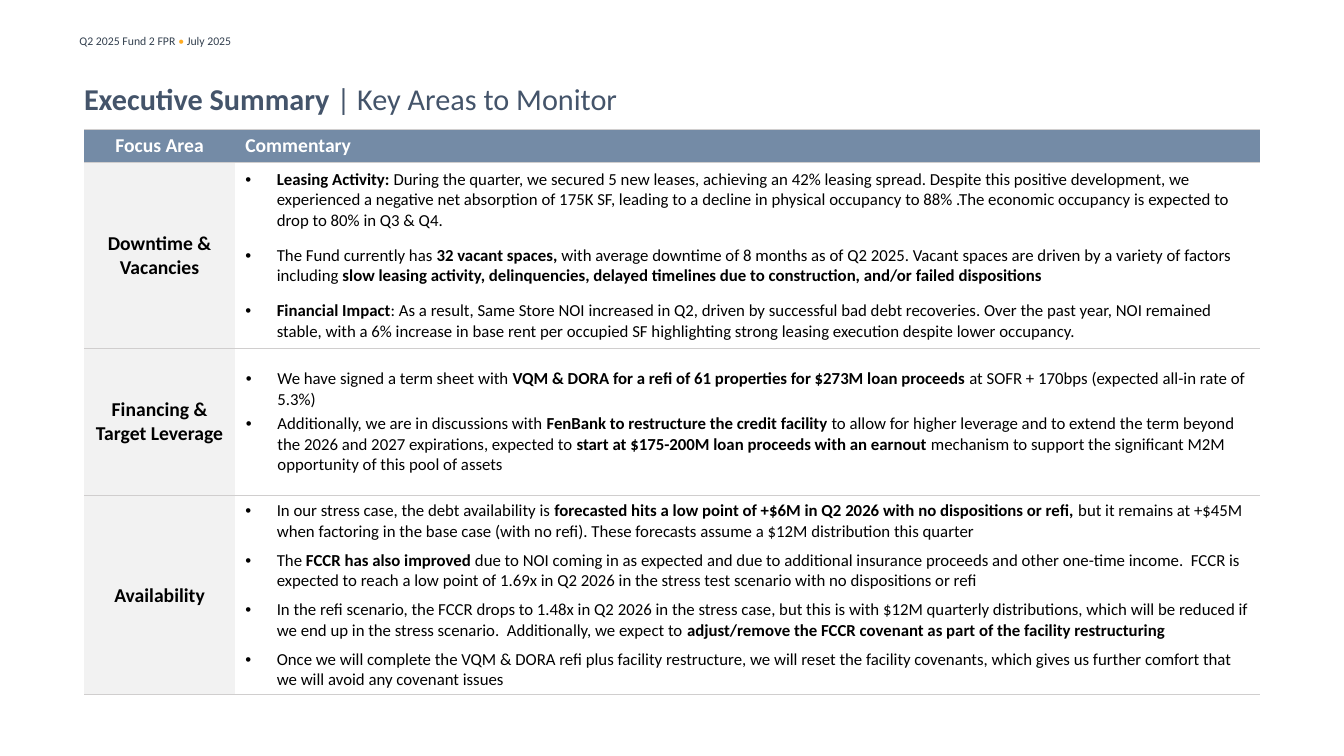
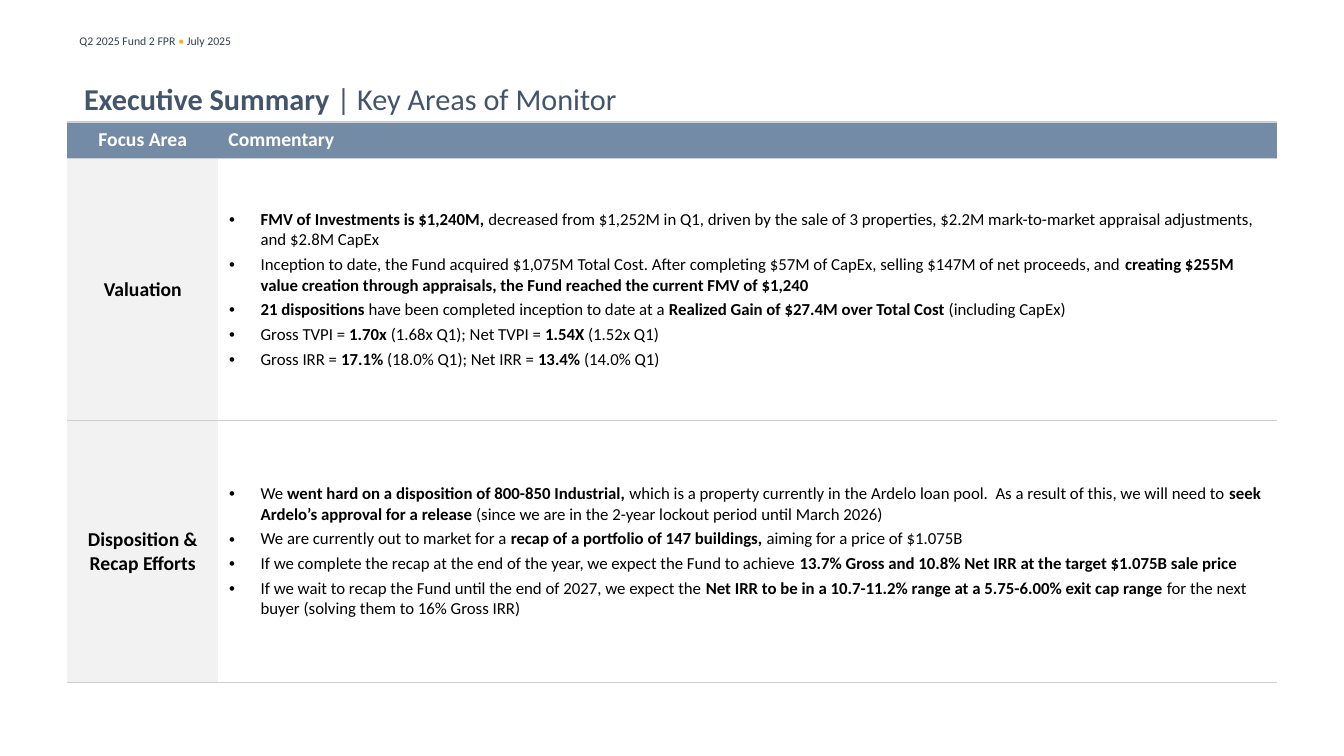
"""Build the two executive summary slides of the quarterly fund review."""
from dataclasses import dataclass
from typing import Any

from lxml import etree
from pptx import Presentation
from pptx.dml.color import RGBColor
from pptx.enum.text import MSO_ANCHOR, PP_ALIGN
from pptx.oxml.ns import qn
from pptx.util import Pt

MIDDLE = MSO_ANCHOR.MIDDLE
TOP = MSO_ANCHOR.TOP
LEFT = PP_ALIGN.LEFT
CENTER = PP_ALIGN.CENTER

FONT = "Calibri"
BLACK, WHITE = "000000", "FFFFFF"
TITLE_COLOR, HEADER_FILL = "44546A", "748BA6"
FOCUS_FILL, RULE_COLOR = "F2F2F2", "D0CECE"
RUNNING_COLOR, ACCENT = "33404F", "FFAB21"
FOCUS_WIDTH = 108
BULLET_INDENT = 22.5


@dataclass(frozen=True)
class Run:
    text: str
    size: float
    color: str = BLACK
    bold: bool = False


@dataclass(frozen=True)
class FocusArea:
    name: str
    height: float
    bullets: tuple[str, ...]
    before: float = 3
    after: float = 0
    margin: float = 23


@dataclass(frozen=True)
class SummarySlide:
    subtitle: str
    left: float
    top: float
    width: float
    header_height: float
    areas: tuple[FocusArea, ...]


SLIDES = (
    SummarySlide("Key Areas to Monitor", 60, 92.2, 840, 24, (
        FocusArea("Downtime & Vacancies", 132.5, (
            "**Leasing Activity: **During the quarter, we secured 5 new leases, achieving an 42% "
            "leasing spread. Despite this positive development, we experienced a negative net "
            "absorption of 175K SF, leading to a decline in physical occupancy to 88% .The economic "
            "occupancy is expected to drop to 80% in Q3 & Q4.",
            "The Fund currently has **32 vacant spaces, **with average downtime of 8 months as of "
            "Q2 2025. Vacant spaces are driven by a variety of factors including **slow leasing "
            "activity, delinquencies, delayed timelines due to construction, and/or failed "
            "dispositions**",
            "**Financial Impact**: As a result, Same Store NOI increased in Q2, driven by successful "
            "bad debt recoveries. Over the past year, NOI remained stable, with a 6% increase in "
            "base rent per occupied SF highlighting strong leasing execution despite lower "
            "occupancy.",
        ), after=7.5, margin=22.5),
        FocusArea("Financing & Target Leverage", 105.5, (
            "We have signed a term sheet with **VQM & DORA for a refi of 61 properties for $273M "
            "loan proceeds **at SOFR + 170bps (expected all-in rate of 5.3%)",
            "Additionally, we are in discussions with **FenBank to restructure the credit facility "
            "**to allow for higher leverage and to extend the term beyond the 2026 and 2027 "
            "expirations, expected to **start at $175-200M loan proceeds with an earnout "
            "**mechanism to support the significant M2M opportunity of this pool of assets",
        )),
        FocusArea("Availability", 142, (
            "In our stress case, the debt availability is **forecasted hits a low point of +$6M in "
            "Q2 2026 with no dispositions or refi, **but it remains at +$45M when factoring in the "
            "base case (with no refi). These forecasts assume a $12M distribution this quarter",
            "The **FCCR has also improved** due to NOI coming in as expected and due to additional "
            "insurance proceeds and other one-time income.  FCCR is expected to reach a low point "
            "of 1.69x in Q2 2026 in the stress test scenario with no dispositions or refi",
            "In the refi scenario, the FCCR drops to 1.48x in Q2 2026 in the stress case, but this "
            "is with $12M quarterly distributions, which will be reduced if we end up in the "
            "stress scenario.  Additionally, we expect to **adjust/remove the FCCR covenant as "
            "part of the facility restructuring**",
            "Once we will complete the VQM & DORA refi plus facility restructure, we will reset the "
            "facility covenants, which gives us further comfort that we will avoid any covenant "
            "issues",
        ), before=6, margin=22.5),
    )),
    SummarySlide("Key Areas of Monitor", 48, 87.2, 864, 26, (
        FocusArea("Valuation", 187.2, (
            "**FMV of Investments is $1,240M, **decreased from $1,252M in Q1, driven by the sale of "
            "3 properties, $2.2M mark-to-market appraisal adjustments, and $2.8M CapEx",
            "Inception to date, the Fund acquired $1,075M Total Cost. After completing $57M of "
            "CapEx, selling $147M of net proceeds, and **creating $255M value creation through "
            "appraisals, the Fund reached the current FMV of $1,240**",
            "**21 dispositions **have been completed inception to date at a **Realized Gain of "
            "$27.4M over Total Cost **(including CapEx)",
            "Gross TVPI = **1.70x **(1.68x Q1); Net TVPI = **1.54X** (1.52x Q1)",
            "Gross IRR = **17.1%** (18.0% Q1); Net IRR = **13.4%** (14.0% Q1)",
        )),
        FocusArea("Disposition & Recap Efforts", 187.2, (
            "We **went hard on a disposition of 800-850 Industrial, **which is a property currently "
            "in the Ardelo loan pool.  As a result of this, we will need to **seek Ardelo’s "
            "approval for a release **(since we are in the 2-year lockout period until March 2026)",
            "We are currently out to market for a **recap of a portfolio of 147 buildings, **aiming "
            "for a price of $1.075B",
            "If we complete the recap at the end of the year, we expect the Fund to achieve "
            "**13.7% Gross and 10.8% Net IRR at the target $1.075B sale price**",
            "If we wait to recap the Fund until the end of 2027, we expect the **Net IRR to be in a "
            "10.7-11.2% range at a 5.75-6.00% exit cap range **for the next buyer (solving them "
            "to 16% Gross IRR)",
        )),
    )),
)


def rgb(color: str) -> RGBColor:
    """Turn a hex string into a colour."""
    return RGBColor.from_string(color)


def set_values(target: Any, values: dict[str, Any]) -> None:
    """Set every named attribute on the target."""
    for name, value in values.items():
        setattr(target, name, value)


def add_runs(paragraph: Any, runs: list[Run]) -> None:
    """Append formatted runs to a paragraph."""
    for item in runs:
        run = paragraph.add_run()
        run.text = item.text
        set_values(run.font, {"name": FONT, "size": Pt(item.size), "bold": item.bold})
        run.font.color.rgb = rgb(item.color)


def marked_runs(text: str) -> list[Run]:
    """Split text on double asterisks into plain and bold runs."""
    return [Run(part, 12, bold=index % 2 == 1)
            for index, part in enumerate(text.split("**")) if part]


def add_text(slide: Any, left: float, top: float, width: float, height: float,
             runs: list[Run], frame_format: dict[str, Any]) -> None:
    """Add a one-paragraph text box."""
    frame = slide.shapes.add_textbox(Pt(left), Pt(top), Pt(width), Pt(height)).text_frame
    set_values(frame, {"word_wrap": True, **frame_format})
    add_runs(frame.paragraphs[0], runs)


def set_borders(cell: Any) -> None:
    """Rule a cell above and below only."""
    properties = cell._tc.get_or_add_tcPr()
    for index, side in enumerate(("lnL", "lnR", "lnT", "lnB")):
        line = etree.Element(qn(f"a:{side}"), w=str(Pt(1)))
        if side in ("lnT", "lnB"):
            fill = etree.SubElement(line, qn("a:solidFill"))
            etree.SubElement(fill, qn("a:srgbClr"), val=RULE_COLOR)
        else:
            etree.SubElement(line, qn("a:noFill"))
        properties.insert(index, line)


def style_cell(cell: Any, fill: str) -> None:
    """Fill, rule and centre a cell vertically."""
    cell.fill.solid()
    cell.fill.fore_color.rgb = rgb(fill)
    cell.vertical_anchor = MIDDLE
    set_borders(cell)


def add_label(cell: Any, text: str, fill: str, color: str, alignment: Any) -> None:
    """Write a bold label into a cell."""
    style_cell(cell, fill)
    paragraph = cell.text_frame.paragraphs[0]
    paragraph.alignment = alignment
    add_runs(paragraph, [Run(text, 14, color, True)])


def add_bullets(cell: Any, area: FocusArea) -> None:
    """Write the bulleted commentary of a focus area."""
    style_cell(cell, WHITE)
    frame = cell.text_frame
    for index, text in enumerate(area.bullets):
        paragraph = frame.add_paragraph() if index else frame.paragraphs[0]
        set_values(paragraph, {"space_before": Pt(area.before if index else 0),
                               "space_after": Pt(area.after)})
        properties = paragraph._p.get_or_add_pPr()
        properties.set("marL", str(Pt(area.margin)))
        properties.set("indent", str(-Pt(BULLET_INDENT)))
        etree.SubElement(properties, qn("a:buFont"), typeface="Arial")
        etree.SubElement(properties, qn("a:buChar"), char="•")
        add_runs(paragraph, marked_runs(text))


def add_summary_table(slide: Any, content: SummarySlide) -> None:
    """Add the table of focus areas and commentary."""
    heights = [content.header_height, *(area.height for area in content.areas)]
    table = slide.shapes.add_table(len(heights), 2, Pt(content.left), Pt(content.top),
                                   Pt(content.width), Pt(sum(heights))).table
    set_values(table, {"first_row": False, "horz_banding": False})
    for column, width in zip(table.columns, (FOCUS_WIDTH, content.width - FOCUS_WIDTH)):
        column.width = Pt(width)
    for row, height in zip(table.rows, heights):
        row.height = Pt(height)
    add_label(table.cell(0, 0), "Focus Area", HEADER_FILL, WHITE, CENTER)
    add_label(table.cell(0, 1), "Commentary", HEADER_FILL, WHITE, LEFT)
    for index, area in enumerate(content.areas, start=1):
        add_label(table.cell(index, 0), area.name, FOCUS_FILL, BLACK, CENTER)
        add_bullets(table.cell(index, 1), area)


def add_summary_slide(presentation: Any, content: SummarySlide) -> None:
    """Add one slide with running head, title and table."""
    slide = presentation.slides.add_slide(presentation.slide_layouts[6])
    add_text(slide, 49.7, 20.9, 324.7, 17.3, [
        Run("Q2 2025 Fund 2 FPR ", 8.4, RUNNING_COLOR),
        Run("• ", 8.4, ACCENT),
        Run("July 2025", 8.4, RUNNING_COLOR),
    ], {"vertical_anchor": TOP})
    margins = {f"margin_{side}": 0 for side in ("left", "right", "top", "bottom")}
    add_text(slide, 60, 43.2, 793.4, 54, [
        Run("Executive Summary ", 21.6, TITLE_COLOR, True),
        Run(f"| {content.subtitle}", 21.6, TITLE_COLOR),
    ], {"vertical_anchor": MIDDLE, **margins})
    add_summary_table(slide, content)


def main() -> None:
    """Build and save the presentation."""
    presentation = Presentation()
    set_values(presentation, {"slide_width": Pt(960), "slide_height": Pt(540)})
    for content in SLIDES:
        add_summary_slide(presentation, content)
    presentation.save("out.pptx")


if __name__ == "__main__":
    main()
